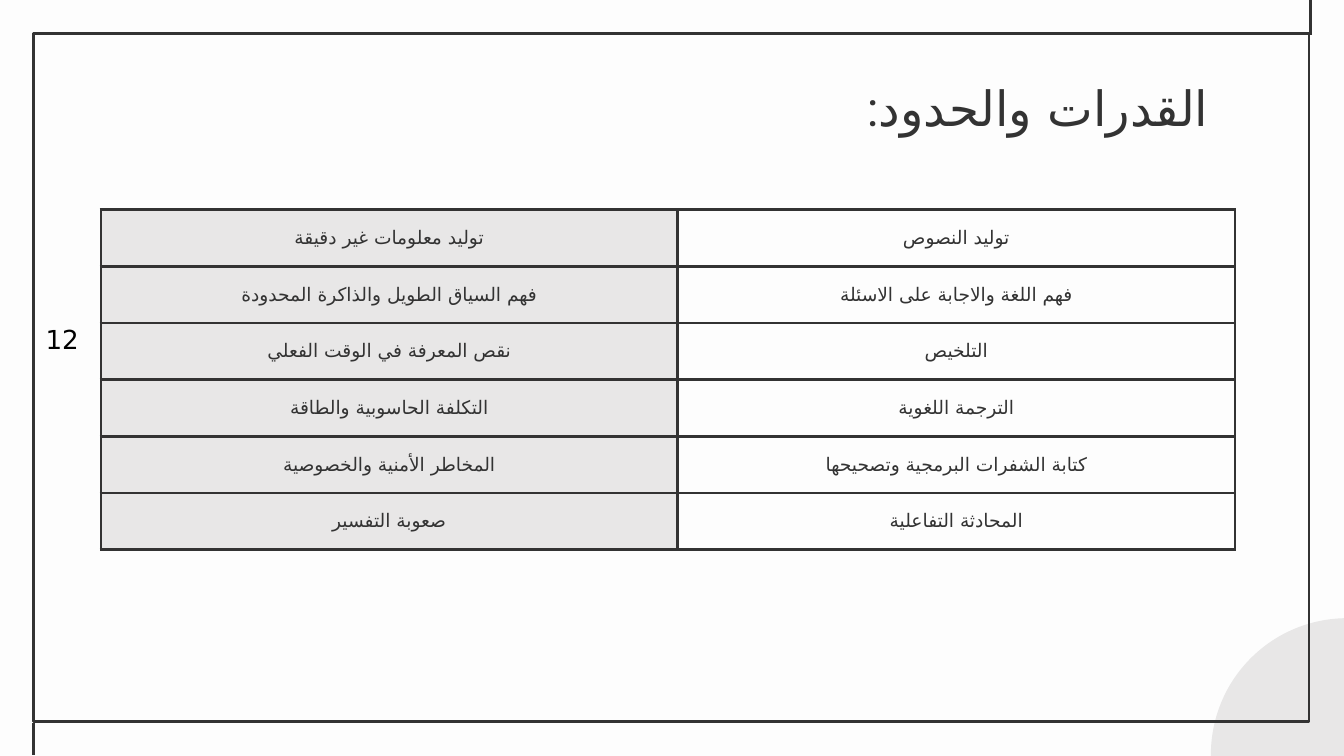
from pptx import Presentation
from pptx.dml.color import RGBColor as RGB
from pptx.enum.shapes import MSO_CONNECTOR as CONN, MSO_SHAPE as SHAPE
from pptx.enum.text import MSO_ANCHOR as ANCHOR, PP_ALIGN as ALIGN
from pptx.oxml.ns import qn
from pptx.util import Inches, Pt
from lxml.etree import SubElement as Sub

COLORS = {"ink": "333333", "gray": "E8E7E7", "paper": "FDFDFD", "black": "000000"}
INK = RGB.from_string(COLORS["ink"])
GRAY = RGB.from_string(COLORS["gray"])


def add_run(para, text, font, size, color="ink"):
    run = para.add_run()
    run.text = text
    run.font.name = font
    run.font.size = Pt(size)
    run.font.color.rgb = RGB.from_string(COLORS[color])
    Sub(run.font._element, qn("a:cs"), typeface="DejaVu Sans")


def add_edges(cell):
    props = cell._tc.get_or_add_tcPr()
    for i, side in enumerate(("lnL", "lnR", "lnT", "lnB")):
        edge = props.makeelement(qn(f"a:{side}"), {"w": str(Pt(1.47))})
        fill = Sub(edge, qn("a:solidFill"))
        Sub(fill, qn("a:srgbClr"), val=COLORS["ink"])
        props.insert(i, edge)


deck = Presentation()
deck.slide_width, deck.slide_height = Inches(10), Inches(10 * 9 / 16)
slide = deck.slides.add_slide(deck.slide_layouts[5])
shapes = slide.shapes
slide.background.fill.solid()
slide.background.fill.fore_color.rgb = RGB.from_string(COLORS["paper"])

disc = shapes.add_shape(SHAPE.OVAL, Inches(9.01), Inches(4.6), Inches(2.03), Inches(2.03))
disc.shadow.inherit = False
disc.fill.solid()
disc.fill.fore_color.rgb = GRAY
disc.line.fill.background()

for x, top, end in ((9.75, 0, 0.26), (0.25, 5.38, 5.62)):
    line = shapes.add_connector(CONN.STRAIGHT, Inches(x), Inches(top), Inches(x), Inches(end))
    line.line.color.rgb = INK
    line.line.width = Pt(1.5)
    Sub(line._element.spPr, qn("a:effectLst"))

frame = shapes.add_shape(SHAPE.RECTANGLE, Inches(0.25), Inches(0.25), Inches(9.49), Inches(5.12))
frame.shadow.inherit = False
frame.fill.background()
frame.line.color.rgb = INK
frame.line.width = Pt(1.5)

title = shapes.title
title.left, title.top = Inches(0.79), Inches(0.49)
title.width, title.height = Inches(8.42), Inches(0.62)
box = title.text_frame
box.margin_left = box.margin_right = box.margin_top = box.margin_bottom = Inches(0.1)
box.vertical_anchor = ANCHOR.MIDDLE
box.paragraphs[0].alignment = ALIGN.RIGHT
add_run(box.paragraphs[0], ":القدرات والحدود ", "Roboto", 26)

ROWS = [
    ("توليد معلومات غير دقيقة", "توليد النصوص"),
    ("فهم السياق الطويل والذاكرة المحدودة", "فهم اللغة والاجابة على الاسئلة"),
    ("نقص المعرفة في الوقت الفعلي", "التلخيص"),
    ("التكلفة الحاسوبية والطاقة", "الترجمة اللغوية"),
    ("المخاطر الأمنية والخصوصية", "كتابة الشفرات البرمجية وتصحيحها"),
    ("صعوبة التفسير", "المحادثة التفاعلية"),
]
table = shapes.add_table(len(ROWS), 2, Inches(0.75), Inches(1.56), Inches(8.44), Inches(2.53)).table
table.first_row = table.horz_banding = False
for col, width in zip(table.columns, (4.29, 4.15)):
    col.width = Inches(width)
for r, row in enumerate(ROWS):
    table.rows[r].height = Inches(2.53 / len(ROWS))
    for c, text in enumerate(row):
        cell = table.cell(r, c)
        cell.vertical_anchor = ANCHOR.MIDDLE
        if c == 0:
            cell.fill.solid()
            cell.fill.fore_color.rgb = GRAY
            font = "Lato"
        else:
            cell.fill.background()
            font = "Arial" if r == 5 else "Calibri"
        add_edges(cell)
        para = cell.text_frame.paragraphs[0]
        para.alignment = ALIGN.CENTER
        before, after = (0, 16) if c == 1 and r < 4 else (11.9, 9.9)
        para.space_before, para.space_after = Pt(before), Pt(after)
        add_run(para, text, font, 10)

page = shapes.add_textbox(Inches(0.24), Inches(2.36), Inches(0.51), Inches(0.39))
page.text_frame.word_wrap = True
add_run(page.text_frame.paragraphs[0], "12", "DejaVu Sans", 14, "black")

deck.save("out.pptx")
